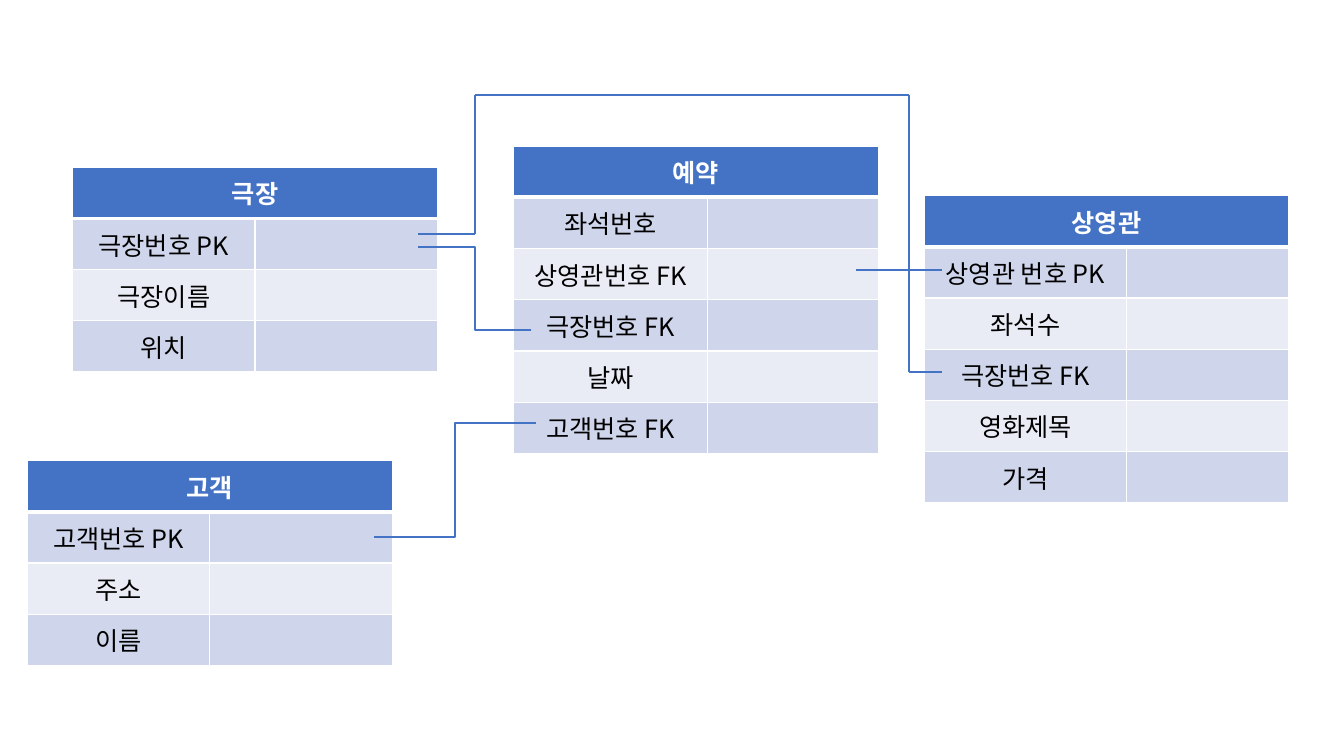
"""Draw the entity diagram of a cinema booking database."""
from itertools import pairwise

from lxml.etree import SubElement
from pptx import Presentation
from pptx.dml.color import RGBColor
from pptx.enum.shapes import MSO_CONNECTOR
from pptx.enum.text import MSO_ANCHOR, PP_ALIGN
from pptx.oxml import parse_xml
from pptx.oxml.ns import nsdecls, qn
from pptx.util import Inches, Pt

FONT = "Noto Sans CJK KR"
BLUE, WHITE, BLACK = "4472C4", "FFFFFF", "000000"
BANDS = ["CFD5EA", "E9EBF5"]
ROW_HEIGHT = 0.508

ENTITIES = [
    ("상영관", (9.17, 1.94), (2.0, 1.61),
     ["상영관 번호 PK", "좌석수", "극장번호 FK", "영화제목", "가격"]),
    ("고객", (0.27, 4.57), (1.81, 1.81), ["고객번호 PK", "주소", "이름"]),
    ("예약", (5.09, 1.45), (1.93, 1.69),
     ["좌석번호", "상영관번호 FK", "극장번호 FK", "날짜", "고객번호 FK"]),
    ("극장", (0.72, 1.66), (1.81, 1.81), ["극장번호 PK", "극장이름", "위치"]),
]
ELBOW_LINKS = [((3.71, 5.33), (5.32, 4.2)), ((4.15, 2.45), (5.27, 3.27))]
STRAIGHT_ROUTES = [
    [(8.49, 2.68), (9.34, 2.68)],
    [(9.34, 3.69), (9.02, 3.69), (9.02, 0.94), (4.71, 0.94), (4.71, 2.32), (4.15, 2.32)],
]


def color(value):
    return RGBColor.from_string(value)


def write_text(cell, text, font_color=BLACK, bold=False, size=18):
    cell.vertical_anchor = MSO_ANCHOR.MIDDLE
    paragraph = cell.text_frame.paragraphs[0]
    paragraph.alignment = PP_ALIGN.CENTER
    run = paragraph.add_run()
    run.text = text
    run.font.name = FONT
    run.font.size = Pt(size)
    run.font.bold = bold
    run.font.color.rgb = color(font_color)
    SubElement(run.font._element, qn("a:ea"), typeface=FONT)


def format_cell(cell, fill, top=1, bottom=1):
    cell.fill.solid()
    cell.fill.fore_color.rgb = color(fill)
    properties = cell._tc.get_or_add_tcPr()
    borders = [("lnL", 1), ("lnR", 1), ("lnT", top), ("lnB", bottom)]
    for position, (side, width) in enumerate(borders):
        properties.insert(position, parse_xml(
            f'<a:{side} {nsdecls("a")} w="{Pt(width)}"><a:solidFill>'
            f'<a:srgbClr val="{WHITE}"/></a:solidFill></a:{side}>'))


def add_entity(slide, name, corner, widths, fields):
    row_count = len(fields) + 1
    left, top = corner
    table = slide.shapes.add_table(
        row_count, len(widths), Inches(left), Inches(top),
        Inches(sum(widths)), Inches(ROW_HEIGHT * row_count)).table
    for column, width in zip(table.columns, widths):
        column.width = Inches(width)
    for row in table.rows:
        row.height = Inches(ROW_HEIGHT)
    for cell in table.rows[0].cells:
        format_cell(cell, BLUE, bottom=3)
    table.cell(0, 0).merge(table.cell(0, 1))
    write_text(table.cell(0, 0), name, font_color=WHITE, bold=True)
    for index, field in enumerate(fields):
        for cell in table.rows[index + 1].cells:
            format_cell(cell, BANDS[index % 2], top=1 if index else 3)
        write_text(table.cell(index + 1, 0), field)


def add_link(slide, start, end, kind=MSO_CONNECTOR.STRAIGHT):
    points = [Inches(value) for value in (*start, *end)]
    connector = slide.shapes.add_connector(kind, *points)
    connector.line.color.rgb = color(BLUE)
    connector.line.width = Pt(1.5)
    SubElement(connector._element.spPr, qn("a:effectLst"))


def main():
    presentation = Presentation()
    presentation.slide_width = Inches(13.33)
    presentation.slide_height = Inches(7.5)
    slide = presentation.slides.add_slide(presentation.slide_layouts[6])
    for entity in ENTITIES:
        add_entity(slide, *entity)
    for start, end in ELBOW_LINKS:
        add_link(slide, start, end, kind=MSO_CONNECTOR.ELBOW)
    for route in STRAIGHT_ROUTES:
        for start, end in pairwise(route):
            add_link(slide, start, end)
    presentation.save("out.pptx")


if __name__ == "__main__":
    main()
